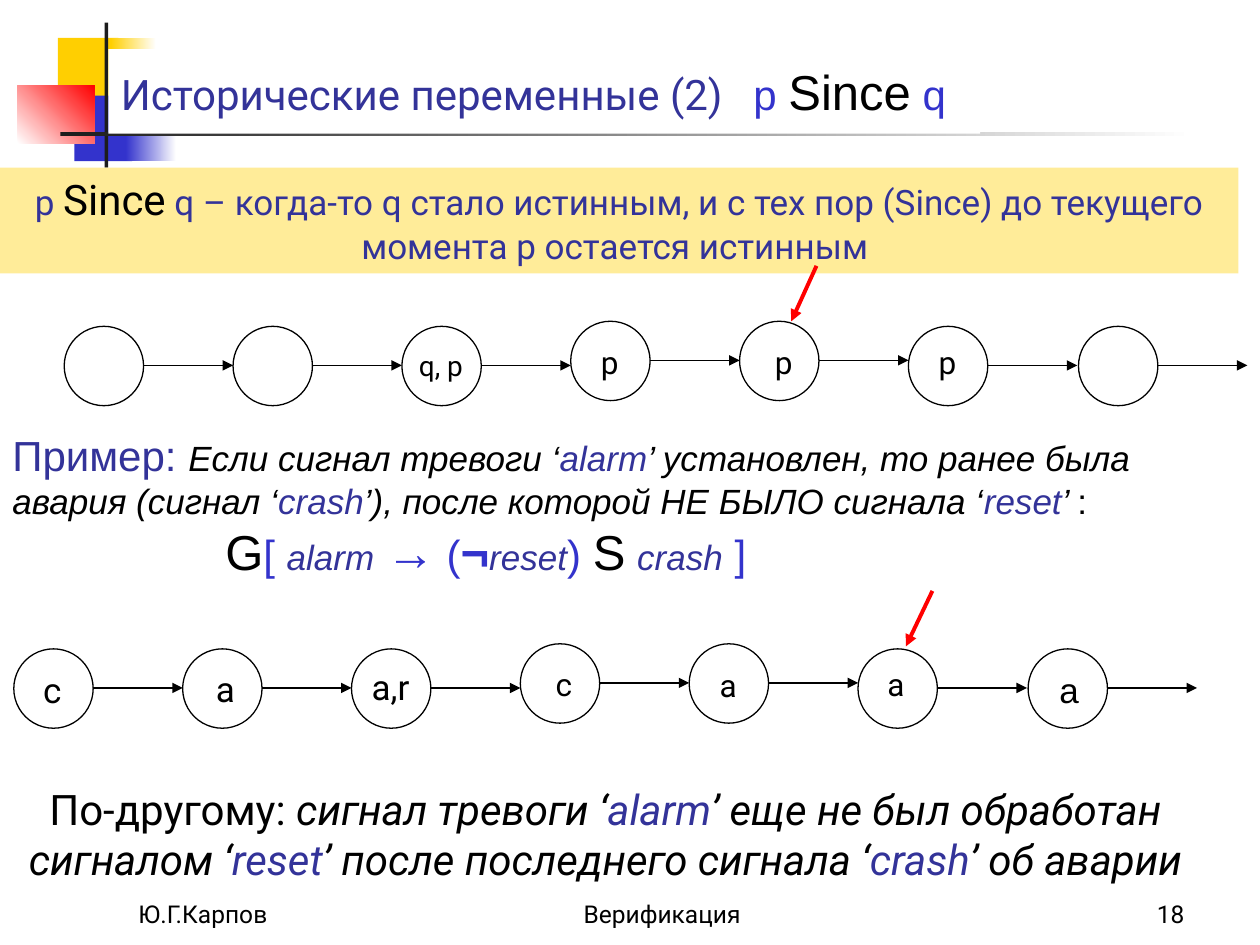
from lxml import etree
from pptx import Presentation
from pptx.dml.color import RGBColor
from pptx.enum.shapes import MSO_CONNECTOR, MSO_SHAPE
from pptx.enum.text import MSO_ANCHOR, MSO_AUTO_SIZE, PP_ALIGN
from pptx.oxml.ns import qn
from pptx.util import Pt

RECT, OVAL = MSO_SHAPE.RECTANGLE, MSO_SHAPE.OVAL
STRAIGHT = MSO_CONNECTOR.STRAIGHT
LEFT, CENTER, RIGHT = PP_ALIGN.LEFT, PP_ALIGN.CENTER, PP_ALIGN.RIGHT
TOP, MIDDLE, BOTTOM = MSO_ANCHOR.TOP, MSO_ANCHOR.MIDDLE, MSO_ANCHOR.BOTTOM
GROW, FIXED = MSO_AUTO_SIZE.SHAPE_TO_FIT_TEXT, MSO_AUTO_SIZE.NONE

PX = 9144
BLACK, WHITE, RED, DARK = "000000", "FFFFFF", "FF0000", "1C1C1C"
NAVY, BLUE, GOLD, CREAM = "333399", "3333CC", "FFCF01", "FFEC99"
ROBOTO, ARIAL = "Roboto", "Arial"
NODE, PITCH = 63, 134


def rgb(value):
    return RGBColor.from_string(value)


def px(*values):
    return [v * PX for v in values]


class Deck:
    def __init__(self, prs):
        self.s = prs.slides.add_slide(prs.slide_layouts[5])
        self.shapes = self.s.shapes

    def shape(self, kind, box, fill=None, line=None, angle=0):
        sp = self.shapes.add_shape(kind, *px(*box))
        sp.shadow.inherit = False
        if fill is None:
            sp.fill.background()
        elif isinstance(fill, tuple):
            sp.fill.gradient()
            sp.fill.gradient_angle = angle
            for stop, color in zip(sp.fill.gradient_stops, fill):
                stop.color.rgb = rgb(color)
        else:
            sp.fill.solid()
            sp.fill.fore_color.rgb = rgb(fill)
        if line:
            sp.line.color.rgb = rgb(line)
            sp.line.width = Pt(0.75)
        else:
            sp.line.fill.background()
        return sp

    def arrow(self, start, end, color=BLACK, width=0.75):
        sp = self.shapes.add_connector(STRAIGHT, *px(*start, *end))
        sp.line.color.rgb = rgb(color)
        sp.line.width = Pt(width)
        props = sp.element.spPr
        etree.SubElement(props.find(qn("a:ln")), qn("a:tailEnd"), type="triangle")
        etree.SubElement(props, qn("a:effectLst"))

    def runs(self, p, parts, font, align=LEFT):
        p.alignment = align
        for text, size, color, style in parts:
            r = p.add_run()
            r.text = text
            r.font.name = font
            r.font.size = Pt(size)
            r.font.color.rgb = rgb(color)
            r.font.bold = "b" in style
            r.font.italic = "i" in style

    def label(self, sp, parts, font=ROBOTO, align=LEFT, anchor=TOP, fit=GROW):
        tf = sp.text_frame
        tf.word_wrap = True
        tf.auto_size = fit
        tf.vertical_anchor = anchor
        self.runs(tf.paragraphs[0], parts, font, align)
        return tf

    def text(self, box, parts, **style):
        return self.label(self.shapes.add_textbox(*px(*box)), parts, **style)

    def title(self, box, parts, tab):
        sp = self.s.shapes.title
        sp.left, sp.top, sp.width, sp.height = px(*box)
        sp.fill.solid()
        sp.fill.fore_color.rgb = rgb(WHITE)
        tf = self.label(sp, parts[:1], anchor=MIDDLE, fit=FIXED)
        p = tf.paragraphs[0]
        self.runs(p, parts[1:], ARIAL)
        tabs = etree.SubElement(p._p.get_or_add_pPr(), qn("a:tabLst"))
        etree.SubElement(tabs, qn("a:tab"), pos=str(tab * PX), algn="l")
        self.s.shapes.element.append(sp.element)

    def chain(self, left, top, labels, pointer):
        self.shapes = self.s.shapes.add_group_shape().shapes
        for i in range(7):
            x = left + i * PITCH + i // 6
            y = top - 4 * (i in (3, 4))
            self.shape(OVAL, (x, y, NODE, NODE), line=BLACK)
            mid = y + NODE // 2
            self.arrow((x + NODE, mid), (x + PITCH, mid))
        for text, size, font, box in labels:
            self.text(box, [(text, size, BLACK, "")], font=font, align=CENTER)
        self.arrow(*pointer, color=RED, width=2.25)
        self.shapes = self.s.shapes


def main():
    prs = Presentation()
    prs.slide_width, prs.slide_height = px(1000, 750)
    d = Deck(prs)

    for box, fill, angle in [
        ((46, 30, 48, 52), GOLD, 0),
        ((88, 30, 36, 52), (GOLD, WHITE), 0),
        ((59, 76, 46, 52), BLUE, 0),
        ((100, 76, 40, 52), (BLUE, WHITE), 0),
        ((14, 68, 61, 46), (WHITE, RED), 45),
        ((83, 18, 3, 115), DARK, 0),
        ((48, 105, 900, 3), (DARK, WHITE), 0),
    ]:
        d.shape(RECT, box, fill, angle=angle)

    d.title((86, 39, 692, 67), [
        ("Исторические переменные (2)\t", 24, NAVY, ""),
        ("p ", 24, BLUE, ""),
        ("Since", 28, BLACK, ""),
        (" q", 24, BLUE, ""),
    ], tab=502)

    for x, w, text, align in [
        (100, 208, "Ю.Г.Карпов", LEFT),
        (367, 317, "Верификация", CENTER),
        (742, 208, "18", RIGHT),
    ]:
        d.text((x, 692, w, 50), [(text, 14, BLACK, "")],
               align=align, anchor=BOTTOM, fit=FIXED)

    d.label(d.shape(RECT, (0, 133, 983, 84), CREAM), [
        ("p ", 20, NAVY, ""),
        ("Since", 24, BLACK, ""),
        (" q – когда-то q стало истинным, и с тех пор (Since) до текущего "
         "момента р остается истинным ", 20, NAVY, ""),
    ], align=CENTER)

    tf = d.text((0, 336, 984, 130), [
        ("Пример: ", 24, NAVY, ""),
        ("Если сигнал тревоги ‘", 20, BLACK, "i"),
        ("alarm", 20, NAVY, "i"),
        ("’ установлен, то ранее была авария (сигнал ‘", 20, BLACK, "i"),
        ("crash", 20, NAVY, "i"),
        ("’), после которой НЕ БЫЛО сигнала ‘", 20, BLACK, "i"),
        ("reset", 20, NAVY, "i"),
        ("’ ", 20, BLACK, "i"),
        (":", 20, BLACK, ""),
    ], font=ARIAL)
    tf.paragraphs[0].space_before = Pt(15)
    formula = tf.add_paragraph()
    formula._p.get_or_add_pPr().set("marL", str(169 * PX))
    d.runs(formula, [
        ("G", 28, BLACK, ""),
        ("[ ", 24, BLUE, ""),
        ("alarm", 20, NAVY, "i"),
        (" ", 24, BLUE, ""),
        ("→", 28, BLUE, "b"),
        (" (", 24, BLUE, ""),
        ("¬", 28, BLUE, "b"),
        ("reset", 20, NAVY, "i"),
        (") ", 24, BLUE, ""),
        ("S", 28, BLACK, ""),
        (" ", 24, BLUE, ""),
        ("crash", 20, NAVY, "i"),
        (" ]", 24, BLUE, ""),
    ], ARIAL)

    d.chain(51, 259, [
        ("q, p", 16, ROBOTO, (303, 272, 94, 37)),
        ("p", 18, ROBOTO, (449, 267, 70, 40)),
        ("p", 18, ROBOTO, (587, 267, 70, 40)),
        ("p", 18, ROBOTO, (717, 267, 70, 40)),
    ], ((648, 211), (628, 255)))
    d.chain(11, 515, [
        ("c", 20, ROBOTO, (0, 526, 83, 44)),
        ("a", 20, ROBOTO, (147, 525, 64, 44)),
        ("а,r", 20, ROBOTO, (263, 523, 94, 44)),
        ("с", 18, ROBOTO, (400, 523, 95, 40)),
        ("a", 18, ROBOTO, (531, 524, 94, 40)),
        ("a", 18, ROBOTO, (664, 523, 94, 40)),
        ("а", 20, ARIAL, (813, 526, 71, 44)),
    ], ((740, 469), (719, 513)))

    d.text((0, 617, 961, 130), [
        ("По-другому: ", 24, BLACK, ""),
        ("сигнал тревоги ‘", 24, BLACK, "i"),
        ("alarm", 24, NAVY, "i"),
        ("’ еще не был обработан сигналом ‘", 24, BLACK, "i"),
        ("reset", 24, NAVY, "i"),
        ("’ после последнего сигнала ‘", 24, BLACK, "i"),
        ("crash", 24, NAVY, "i"),
        ("’ об аварии", 24, BLACK, "i"),
    ], align=CENTER)

    prs.save("out.pptx")


if __name__ == "__main__":
    main()
